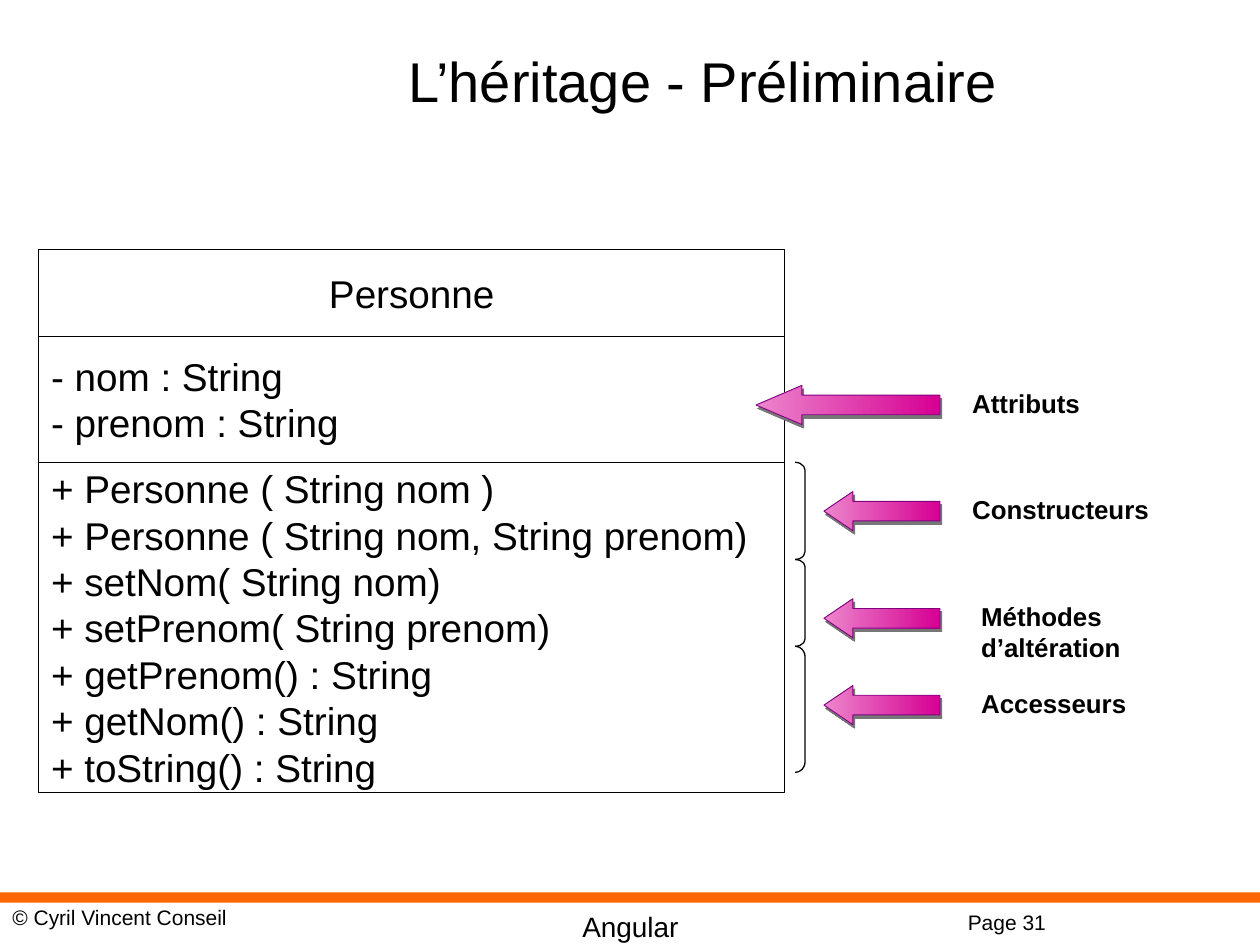
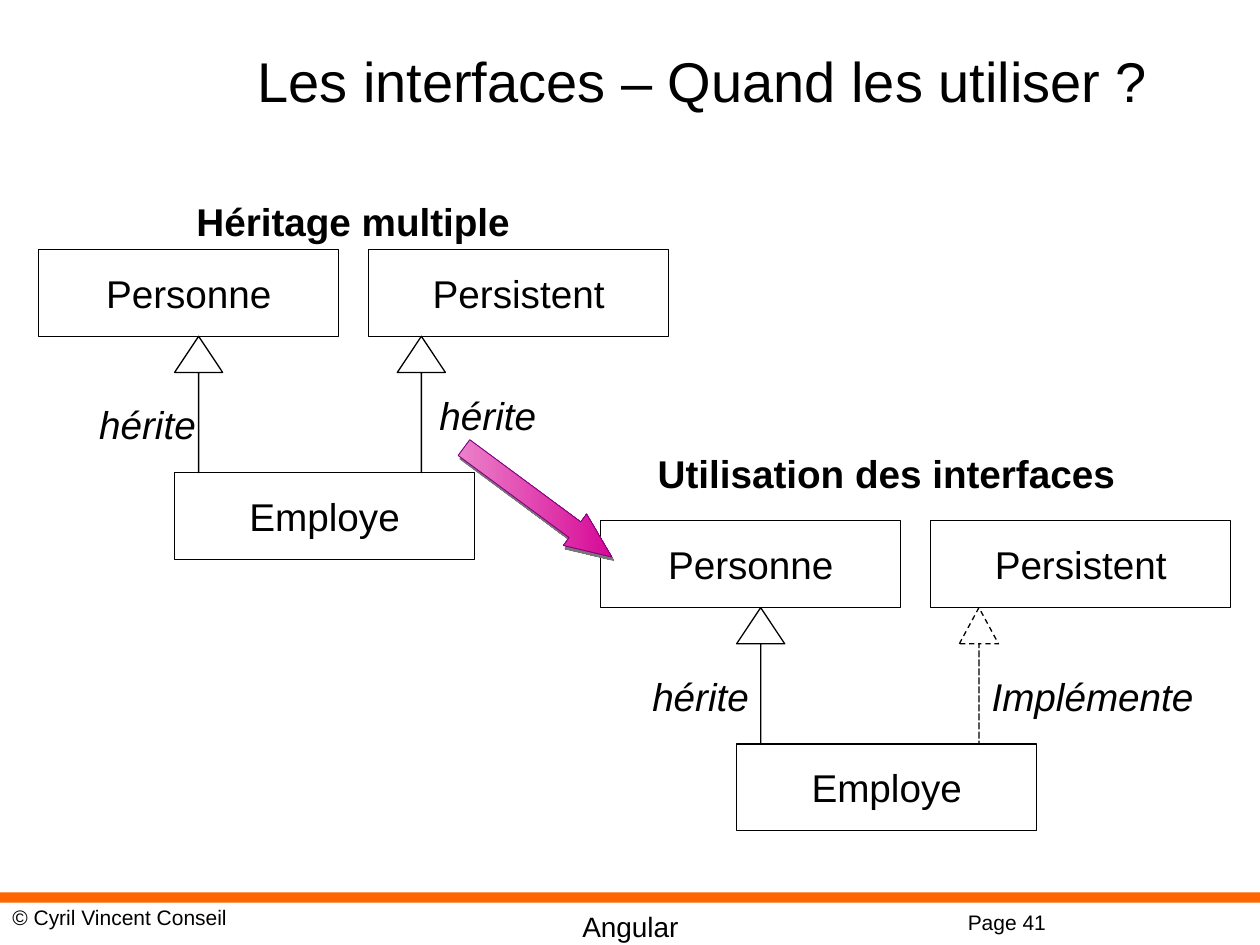
from dataclasses import dataclass

from lxml.etree import SubElement
from pptx import Presentation
from pptx.dml.color import RGBColor
from pptx.enum.dml import MSO_LINE
from pptx.enum.shapes import MSO_SHAPE
from pptx.enum.text import MSO_ANCHOR, PP_ALIGN
from pptx.oxml.ns import qn
from pptx.shapes.autoshape import Shape
from pptx.slide import Slide
from pptx.util import Cm, Pt

COLOURS = {
    "text": "000000",
    "paper": "FFFFFF",
    "band": "FF6600",
    "arrow_light": "EC86CC",
    "arrow_dark": "D60093",
    "arrow_line": "800080",
    "shadow": "777777",
}

# Font formats by role
FORMATS = {
    "title": {"size": Pt(32)},
    "footer": {"size": Pt(12)},
    "course": {"size": Pt(16)},
    "class": {"size": Pt(22.1)},
    "relation": {"size": Pt(22.1), "italic": True},
    "heading": {"size": Pt(22.1), "bold": True},
    "label": {"size": Pt(14.8), "bold": True},
}

CLASS_WIDTH, CLASS_HEIGHT = 6.05, 1.75
RELATION_HEIGHT, HEAD_LENGTH = 2.75, 0.73
ARROW_HEIGHT = 0.79


@dataclass(frozen=True)
class Box:
    """Left, top, width and height in centimetres."""
    left: float
    top: float
    width: float
    height: float

    def lengths(self) -> tuple:
        return Cm(self.left), Cm(self.top), Cm(self.width), Cm(self.height)


@dataclass(frozen=True)
class Caption:
    text: str
    box: Box
    role: str
    align: PP_ALIGN = PP_ALIGN.LEFT


@dataclass(frozen=True)
class MemberArrow:
    tip: float
    top: float
    label: str
    label_left: float
    label_height: float = 0.89


@dataclass(frozen=True)
class Hierarchy:
    """Two parent classes above one child class."""
    left: float
    top: float
    second_arrow_width: float
    second_dashed: bool
    captions: tuple


FOOTERS = (
    Caption("Angular", Box(6.15, 18.21, 13.12, 0.93), "course", PP_ALIGN.CENTER),
    Caption("© Cyril Vincent Conseil", Box(0, 18.11, 9.53, 0.76), "footer"),
)

CLASS_SECTIONS = (
    (1.75, PP_ALIGN.CENTER, "Personne"),
    (2.54, PP_ALIGN.LEFT, "- nom : String\n- prenom : String"),
    (6.66, PP_ALIGN.LEFT,
     "+ Personne ( String nom )\n"
     "+ Personne ( String nom, String prenom)\n"
     "+ setNom( String nom)\n"
     "+ setPrenom( String prenom)\n"
     "+ getPrenom() : String\n"
     "+ getNom() : String\n"
     "+ toString() : String"),
)

BRACKET_HEIGHTS = (1.96, 1.75, 2.54)

MEMBER_ARROWS = (
    MemberArrow(15.24, 7.77, "Attributs", 19.35),
    MemberArrow(16.61, 9.91, "Constructeurs", 19.35),
    MemberArrow(16.61, 12.07, "Méthodes d’altération", 19.53, 1.52),
    MemberArrow(16.61, 13.82, "Accesseurs", 19.53),
)

HIERARCHIES = (
    Hierarchy(0.78, 5.03, 0.97, False, (
        Caption("hérite", Box(1.75, 7.95, 2.54, 1.19), "relation"),
        Caption("hérite", Box(8.61, 7.77, 2.54, 1.19), "relation"),
        Caption("Héritage multiple", Box(3.71, 3.86, 7.24, 1.19), "heading"),
    )),
    Hierarchy(12.11, 10.5, 0.79, True, (
        Caption("hérite", Box(12.9, 13.44, 2.54, 1.19), "relation"),
        Caption("Implémente", Box(19.74, 13.44, 4.7, 1.19), "relation"),
        Caption("Utilisation des interfaces", Box(12.5, 8.94, 10.74, 1.19),
                "heading", PP_ALIGN.CENTER),
    )),
)


def colour(name: str) -> RGBColor:
    return RGBColor.from_string(COLOURS[name])


def write_text(shape: Shape, text: str, role: str, align: PP_ALIGN,
               anchor: MSO_ANCHOR) -> None:
    frame = shape.text_frame
    frame.word_wrap = True
    frame.vertical_anchor = anchor
    frame.text = text
    for paragraph in frame.paragraphs:
        paragraph.alignment = align
        font = paragraph.runs[0].font
        for name, value in ({"name": "Arial"} | FORMATS[role]).items():
            setattr(font, name, value)
        font.color.rgb = colour("text")


def add_caption(slide: Slide, caption: Caption,
                anchor: MSO_ANCHOR = MSO_ANCHOR.TOP) -> None:
    shape = slide.shapes.add_textbox(*caption.box.lengths())
    write_text(shape, caption.text, caption.role, caption.align, anchor)


def add_outline(slide: Slide, kind: MSO_SHAPE, box: Box,
                adjustments: tuple = (), fill: str | None = "paper",
                line: str | None = "text", line_width: float = 0.75) -> Shape:
    shape = slide.shapes.add_shape(kind, *box.lengths())
    shape.shadow.inherit = False
    for index, value in enumerate(adjustments):
        shape.adjustments[index] = value
    if fill:
        shape.fill.solid()
        shape.fill.fore_color.rgb = colour(fill)
    else:
        shape.fill.background()
    if line:
        shape.line.color.rgb = colour(line)
        shape.line.width = Pt(line_width)
    else:
        shape.line.fill.background()
    return shape


def add_class_box(slide: Slide, box: Box, text: str,
                  align: PP_ALIGN = PP_ALIGN.CENTER) -> None:
    shape = add_outline(slide, MSO_SHAPE.RECTANGLE, box)
    write_text(shape, text, "class", align, MSO_ANCHOR.MIDDLE)


def add_pink_arrow(slide: Slide, left: float, top: float, width: float,
                   rotation: float = 0) -> None:
    box = Box(left, top, width, ARROW_HEIGHT)
    head = width / ARROW_HEIGHT / 4
    shape = add_outline(slide, MSO_SHAPE.LEFT_ARROW, box, (0.5, head),
                        line="arrow_line", line_width=0.5)
    shape.rotation = rotation
    # The gradient keeps its direction when the arrow turns
    shape.fill.gradient()
    shape.fill.gradient_angle = 0
    for stop, name in zip(shape.fill.gradient_stops, ("arrow_light", "arrow_dark")):
        stop.color.rgb = colour(name)
    properties = shape.element.spPr
    properties.find(qn("a:gradFill")).set("rotWithShape", "0")
    # Hard shadow below right
    shadow = SubElement(properties.find(qn("a:effectLst")), qn("a:outerShdw"),
                        dist=str(Pt(2.2)), dir=str(63 * 60000),
                        algn="ctr", rotWithShape="0")
    SubElement(shadow, qn("a:srgbClr"), val=COLOURS["shadow"])


def add_relation(slide: Slide, left: float, top: float, width: float,
                 dashed: bool = False) -> None:
    shape = add_outline(slide, MSO_SHAPE.UP_ARROW,
                        Box(left, top, width, RELATION_HEIGHT),
                        (0, HEAD_LENGTH / width))
    if dashed:
        shape.line.dash_style = MSO_LINE.DASH


def add_hierarchy(slide: Slide, tree: Hierarchy) -> None:
    child_left = tree.left + 2.74
    arrow_top = tree.top + CLASS_HEIGHT
    for text, left, top in (
        ("Personne", tree.left, tree.top),
        ("Persistent", tree.left + 6.65, tree.top),
        ("Employe", child_left, arrow_top + RELATION_HEIGHT),
    ):
        add_class_box(slide, Box(left, top, CLASS_WIDTH, CLASS_HEIGHT), text)
    add_relation(slide, child_left, arrow_top, 0.97)
    add_relation(slide, tree.left + 7.23, arrow_top,
                 tree.second_arrow_width, tree.second_dashed)
    for caption in tree.captions:
        add_caption(slide, caption)


def add_base_slide(presentation: Presentation, title: str, page: int) -> Slide:
    slide = presentation.slides.add_slide(presentation.slide_layouts[6])
    add_outline(slide, MSO_SHAPE.RECTANGLE, Box(0, 17.99, 25.4, 0.21),
                fill="band", line=None)
    page_box = Box(19.26, 18.21, 3.39, 0.76)
    for caption in (Caption(f"Page {page}", page_box, "footer"), *FOOTERS):
        add_caption(slide, caption)
    add_caption(slide, Caption(title, Box(3.3, 0.03, 21.74, 3.18), "title",
                               PP_ALIGN.CENTER), MSO_ANCHOR.MIDDLE)
    return slide


def build_class_slide(presentation: Presentation) -> None:
    slide = add_base_slide(presentation, "L’héritage - Préliminaire", 31)
    # Class diagram, sections stacked
    top = 5.03
    for height, align, text in CLASS_SECTIONS:
        add_class_box(slide, Box(0.78, top, 15.04, height), text, align)
        top += height
    # Brackets beside the methods
    top, width = 9.32, 0.2
    for height in BRACKET_HEIGHTS:
        add_outline(slide, MSO_SHAPE.RIGHT_BRACKET, Box(16.03, top, width, height),
                    (height / width / 12,), fill=None)
        top += height
    # Arrows with their labels
    for arrow in MEMBER_ARROWS:
        add_pink_arrow(slide, arrow.tip, arrow.top, 18.95 - arrow.tip)
        box = Box(arrow.label_left, arrow.top - 0.08, 5.85, arrow.label_height)
        add_caption(slide, Caption(arrow.label, box, "label"))


def build_interface_slide(presentation: Presentation) -> None:
    slide = add_base_slide(presentation, "Les interfaces – Quand les utiliser ?", 41)
    for tree in HIERARCHIES:
        add_hierarchy(slide, tree)
    add_pink_arrow(slide, 8.99, 9.73, 3.71, 216.5)


def main() -> None:
    presentation = Presentation()
    presentation.slide_width, presentation.slide_height = Cm(25.4), Cm(19.05)
    build_class_slide(presentation)
    build_interface_slide(presentation)
    presentation.save("out.pptx")


if __name__ == "__main__":
    main()
